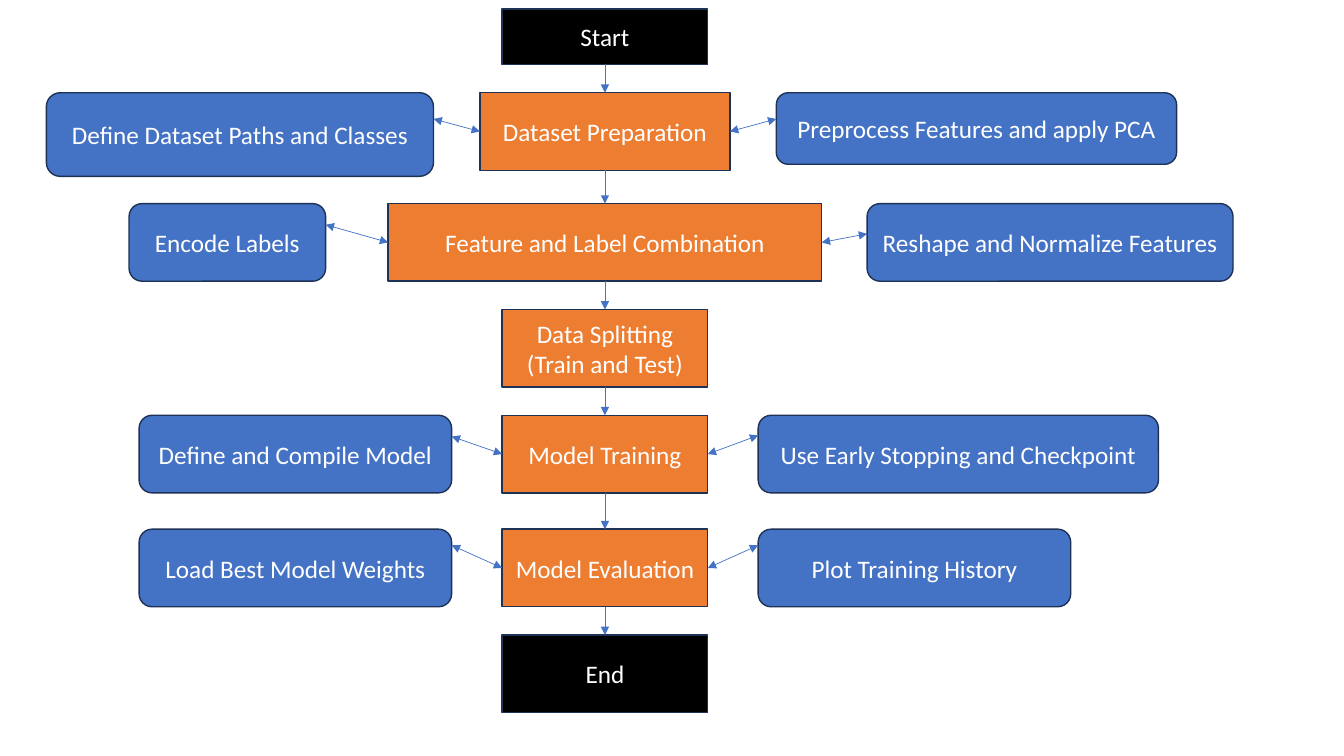
from dataclasses import dataclass
from typing import Optional

from lxml import etree
from pptx import Presentation
from pptx.dml.color import RGBColor
from pptx.enum.shapes import MSO_CONNECTOR, MSO_SHAPE
from pptx.enum.text import MSO_ANCHOR, PP_ALIGN
from pptx.oxml.ns import qn
from pptx.util import Inches, Pt

RECTANGLE = MSO_SHAPE.RECTANGLE
ROUNDED = MSO_SHAPE.ROUNDED_RECTANGLE
STRAIGHT = MSO_CONNECTOR.STRAIGHT
MIDDLE = MSO_ANCHOR.MIDDLE
CENTER = PP_ALIGN.CENTER
TOP, LEFT, BOTTOM, RIGHT = range(4)

COLORS = {
    "terminal": "000000",
    "stage": "ED7D31",
    "note": "4472C4",
    "outline": "1E3256",
    "arrow": "4472C4",
    "text": "FFFFFF",
}
FLOW_CENTER = 6
BOX_HEIGHT = 0.77


@dataclass
class Note:
    """A side box; gap is its distance from the stage, drop the arrow's depth below its top."""
    text: str
    width: float
    gap: float
    drop: float
    height: float = BOX_HEIGHT


@dataclass
class Stage:
    text: str
    top: float
    width: float = 2.04
    height: float = BOX_HEIGHT
    color: str = "stage"
    left_note: Optional[Note] = None
    right_note: Optional[Note] = None


STAGES = [
    Stage("Start", 0.09, height=0.55, color="terminal"),
    Stage("Dataset Preparation", 0.92, 2.48,
          left_note=Note("Define Dataset Paths and Classes", 3.84, 0.46, 0.26, 0.83),
          right_note=Note("Preprocess Features and apply PCA", 3.97, 0.46, 0.26, 0.71)),
    Stage("Feature and Label Combination", 2.02, 4.3,
          left_note=Note("Encode Labels", 1.95, 0.62, 0.21),
          right_note=Note("Reshape and Normalize Features", 3.63, 0.45, 0.3)),
    Stage("Data Splitting (Train and Test)", 3.07),
    Stage("Model Training", 4.12,
          left_note=Note("Define and Compile Model", 3.1, 0.5, 0.21),
          right_note=Note("Use Early Stopping and Checkpoint", 3.97, 0.5, 0.2)),
    Stage("Model Evaluation", 5.25,
          left_note=Note("Load Best Model Weights", 3.1, 0.5, 0.16),
          right_note=Note("Plot Training History", 3.1, 0.5, 0.16)),
    Stage("End", 6.3, color="terminal"),
]


def rgb(name):
    return RGBColor.from_string(COLORS[name])


def add_box(page, kind, text, color, left, top, width, height):
    box = page.shapes.add_shape(kind, Inches(left), Inches(top), Inches(width), Inches(height))
    box.shadow.inherit = False
    box.fill.solid()
    box.fill.fore_color.rgb = rgb(color)
    box.line.color.rgb = rgb("outline")
    box.line.width = Pt(1)
    box.text_frame.word_wrap = True
    box.text_frame.vertical_anchor = MIDDLE
    para = box.text_frame.paragraphs[0]
    para.text = text
    para.alignment = CENTER
    para.font.name = "Calibri"
    para.font.size = Pt(18)
    para.font.color.rgb = rgb("text")
    return box


def add_arrow(page, start, side, end_x=0, end_y=0, both_ends=False):
    """Draw an arrow from the middle of a side of the start box."""
    arrow = page.shapes.add_connector(STRAIGHT, 0, 0, end_x, end_y)
    arrow.begin_connect(start, side)
    arrow.line.color.rgb = rgb("arrow")
    arrow.line.width = Pt(0.5)
    line = arrow.line._get_or_add_ln()
    for tag in ("a:headEnd", "a:tailEnd") if both_ends else ("a:tailEnd",):
        etree.SubElement(line, qn(tag), type="triangle")
    etree.SubElement(arrow._element.spPr, qn("a:effectLst"))
    return arrow


def add_note(page, stage_box, note, side):
    """Place a note level with the top of its stage and join the two."""
    top = stage_box.top.inches
    if side == LEFT:
        edge = stage_box.left.inches - note.gap
        left = edge - note.width
    else:
        left = edge = stage_box.left.inches + stage_box.width.inches + note.gap
    add_box(page, ROUNDED, note.text, "note", left, top, note.width, note.height)
    connection = LEFT if side == LEFT else RIGHT
    add_arrow(page, stage_box, connection, Inches(edge), Inches(top + note.drop), both_ends=True)


def add_stage(page, stage, center):
    """Place a stage around the flow's center line, with its notes."""
    box = add_box(page, RECTANGLE, stage.text, stage.color,
                  center - stage.width / 2, stage.top, stage.width, stage.height)
    for side, note in ((LEFT, stage.left_note), (RIGHT, stage.right_note)):
        if note:
            add_note(page, box, note, side)
    return box


def add_flow(page, stages, center):
    boxes = [add_stage(page, stage, center) for stage in stages]
    for upper, lower in zip(boxes, boxes[1:]):
        add_arrow(page, upper, BOTTOM).end_connect(lower, TOP)


def main():
    deck = Presentation()
    deck.slide_width = Inches(13.33)
    deck.slide_height = Inches(7.5)
    page = deck.slides.add_slide(deck.slide_layouts[6])
    add_flow(page, STAGES, FLOW_CENTER)
    deck.save("out.pptx")


if __name__ == "__main__":
    main()
